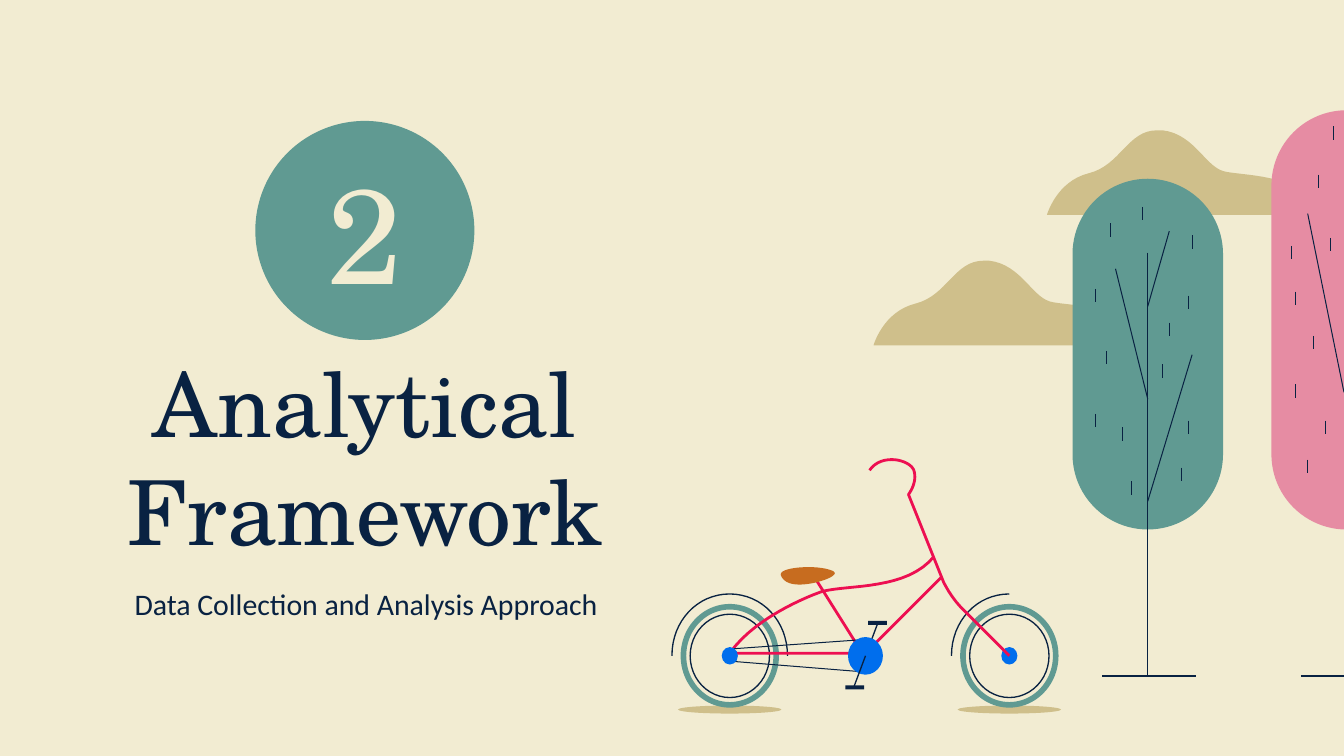
import pptx
import pptx.util
import pptx.dml.color
import pptx.enum.shapes
import pptx.enum.text
import pptx.oxml.ns
import lxml.etree

Inches = pptx.util.Inches
Pt = pptx.util.Pt
SHAPE = pptx.enum.shapes.MSO_SHAPE

COLORS = {
    "cream": "F2ECD2", "sand": "CFBF8B", "teal": "609A92", "pink": "E68CA3",
    "navy": "092242", "red": "ED0F51", "blue": "006EED", "leather": "C76C1F",
}
HEADING_FONT, BODY_FONT = "TeX Gyre Schola", "Calibri"
THIN, MEDIUM, FRAME, TYRE = 0.54, 0.72, 1.5, 3
CURVE_STEPS = 16


def rgb(name):
    return pptx.dml.color.RGBColor.from_string(COLORS[name])


def paint(shape, fill=None, line=None, weight=MEDIUM):
    shape.shadow.inherit = False
    if fill:
        shape.fill.solid()
        shape.fill.fore_color.rgb = rgb(fill)
    else:
        shape.fill.background()
    if line:
        shape.line.color.rgb = rgb(line)
        shape.line.width = Pt(weight)
    else:
        shape.line.fill.background()


def preset(slide, kind, left, top, width, height, **style):
    shape = slide.shapes.add_shape(
        kind, Inches(left), Inches(top), Inches(width), Inches(height))
    paint(shape, **style)
    return shape


def centered_oval(slide, x, y, width, height, **style):
    return preset(slide, SHAPE.OVAL, x - width / 2, y - height / 2, width, height, **style)


def stroke(slide, x1, y1, x2, y2, color="navy", weight=THIN):
    line = slide.shapes.add_connector(
        pptx.enum.shapes.MSO_CONNECTOR.STRAIGHT,
        Inches(x1), Inches(y1), Inches(x2), Inches(y2))
    line.line.color.rgb = rgb(color)
    line.line.width = Pt(weight)
    lxml.etree.SubElement(line._element.spPr, pptx.oxml.ns.qn("a:effectLst"))


def outline(slide, left, top, start, segments, close=False, **style):
    """Draw segments of 2 numbers (line end) or 6 numbers (cubic curve)."""
    points = [start]
    for segment in segments:
        if len(segment) == 2:
            points.append(segment)
            continue
        ax, ay = points[-1]
        bx, by, cx, cy, dx, dy = segment
        for step in range(1, CURVE_STEPS + 1):
            t = step / CURVE_STEPS
            u = 1 - t
            points.append((
                u**3 * ax + 3 * u * u * t * bx + 3 * u * t * t * cx + t**3 * dx,
                u**3 * ay + 3 * u * u * t * by + 3 * u * t * t * cy + t**3 * dy))
    placed = [(Inches(left + x), Inches(top + y)) for x, y in points]
    builder = slide.shapes.build_freeform(*placed[0], scale=1.0)
    builder.add_line_segments(placed[1:], close=close)
    paint(builder.convert_to_shape(), **style)


def write(shape, text, size, font, color, anchor):
    frame = shape.text_frame
    frame.text = text
    frame.word_wrap = True
    frame.auto_size = pptx.enum.text.MSO_AUTO_SIZE.NONE
    frame.vertical_anchor = anchor
    frame.margin_left = frame.margin_right = Inches(0.1)
    frame.margin_top = frame.margin_bottom = Inches(0.1)
    paragraph = frame.paragraphs[0]
    paragraph.alignment = pptx.enum.text.PP_ALIGN.CENTER
    paragraph.space_before = Pt(0)
    paragraph.line_spacing = 1.0
    paragraph.font.size = Pt(size)
    paragraph.font.name = font
    paragraph.font.color.rgb = rgb(color)


def move(shape, left, top, width, height):
    shape.left, shape.top = Inches(left), Inches(top)
    shape.width, shape.height = Inches(width), Inches(height)


def section_heading(slide, left, top, width):
    anchor = pptx.enum.text.MSO_ANCHOR
    title, subtitle = slide.shapes.title, slide.placeholders[1]
    move(title, left, top + 1.79, width, 1.4)
    write(title, "Analytical Framework", 48, HEADING_FONT, "navy", anchor.MIDDLE)
    move(subtitle, left + 0.01, top + 3.36, width, 0.48)
    write(subtitle, "Data Collection and Analysis Approach", 16, BODY_FONT, "navy", anchor.TOP)
    number = preset(slide, SHAPE.OVAL, left + (width - 1.63) / 2, top, 1.63, 1.63, fill="teal")
    write(number, "2", 72, HEADING_FONT, "cream", anchor.MIDDLE)


def cloud(slide, left, top):
    outline(slide, left, top, (0.82, 0), [
        (0.83, 0, 0.85, 0, 0.86, 0),
        (1.11, 0.03, 1.18, 0.29, 1.34, 0.31),
        (1.5, 0.34, 1.94, 0.33, 2, 0.63),
        (0, 0.63),
        (0, 0.63, 0.07, 0.38, 0.31, 0.32),
        (0.55, 0.26, 0.6, 0, 0.82, 0),
    ], close=True, fill="sand")


def tree(slide, left, top, height, color, branches, bark_marks, trunk_top=None):
    width, ground = 1.12, 5.03
    middle = left + width / 2
    crown = preset(slide, SHAPE.ROUNDED_RECTANGLE, left, top, width, height, fill=color)
    crown.adjustments[0] = 0.5
    if trunk_top is not None:
        stroke(slide, middle, top + trunk_top, middle, ground)
    stroke(slide, middle - 0.34, ground, middle + 0.36, ground)
    for x1, y1, x2, y2 in branches:
        stroke(slide, left + x1, top + y1, left + x2, top + y2)
    for x, y in bark_marks:
        stroke(slide, left + x, top + y, left + x, top + y + 0.1)


def bicycle(slide, left, top):
    axle, rear, front = top + 1.48, left + 0.43, left + 2.51

    def part(start, *segments, **style):
        outline(slide, left, top, start, segments, **style)

    def bar(x1, y1, x2, y2, color="red", weight=FRAME):
        stroke(slide, left + x1, top + y1, left + x2, top + y2, color, weight)

    def pedal(x, y):
        preset(slide, SHAPE.RECTANGLE, left + x, top + y, 0.14, 0.03, fill="navy")

    def hub(x):
        centered_oval(slide, x, axle, 0.12, 0.13, fill="blue")

    # Wheels and mudguards
    for x in (rear, front):
        centered_oval(slide, x, axle + 0.4, 0.77, 0.06, fill="sand")
        centered_oval(slide, x, axle, 0.59, 0.62, line="navy")
        centered_oval(slide, x, axle, 0.69, 0.73, line="teal", weight=TYRE)
    part((0, 1.48), (0, 1.22, 0.19, 1.02, 0.43, 1.02),
         (0.67, 1.02, 0.86, 1.22, 0.86, 1.48), line="navy")
    part((2.08, 1.48), (2.08, 1.22, 2.27, 1.02, 2.51, 1.02), line="navy")
    hub(front)

    # Fork with handlebar, then the frame
    bar(1.53, 1.24, 1.44, 1.48, "navy", MEDIUM)
    pedal(1.46, 1.22)
    part((2.51, 1.48), (2.17, 1.14), (2.11, 1.08, 2.06, 1.01, 2.02, 0.93),
         (1.76, 0.28), (1.76, 0.28, 1.83, 0.19, 1.8, 0.1),
         (1.77, 0.02, 1.56, -0.03, 1.47, 0.1), line="red", weight=FRAME)
    bar(1.41, 1.45, 1.07, 0.91)
    bar(2.01, 0.89, 1.44, 1.46)
    part((1.95, 0.74), (1.75, 0.99, 1.32, 0.95, 1.12, 1),
         (1.12, 1, 0.64, 1.16, 0.43, 1.46), (1.39, 1.46), line="red", weight=FRAME)

    # Chain, crank and saddle
    pedal(1.29, 1.7)
    part((1.42, 1.36), (0.43, 1.43), (0.43, 1.52), (1.43, 1.6), line="navy", weight=THIN)
    centered_oval(slide, left + 1.44, axle, 0.26, 0.28, fill="blue")
    hub(rear)
    bar(1.44, 1.48, 1.35, 1.72, "navy", MEDIUM)
    part((1.02, 0.82), (0.91, 0.82, 0.8, 0.84, 0.81, 0.88),
         (0.83, 0.93, 0.88, 0.95, 0.95, 0.95), (1.07, 0.95, 1.23, 0.89, 1.21, 0.86),
         (1.2, 0.84, 1.11, 0.82, 1.02, 0.82), close=True, fill="leather")


def main():
    deck = pptx.Presentation()
    deck.slide_width, deck.slide_height = Inches(10), Inches(10 * 9 / 16)
    slide = deck.slides.add_slide(deck.slide_layouts[0])
    slide.background.fill.solid()
    slide.background.fill.fore_color.rgb = rgb("cream")

    # Landscape
    cloud(slide, 6.5, 1.94)
    cloud(slide, 7.79, 0.97)
    tree(slide, 7.98, 1.33, 2.61, "teal",
         [(0.72, 0.39, 0.56, 0.95), (0.32, 0.67, 0.56, 1.64), (0.89, 1.31, 0.56, 2.4)],
         [(0.72, 1.07), (0.86, 1.8), (0.37, 1.85), (0.44, 2.25), (0.67, 1.38),
          (0.28, 0.33), (0.86, 0.87), (0.81, 2.15), (0.25, 1.28), (0.17, 0.82),
          (0.17, 1.75), (0.52, 0.21), (0.89, 0.42)], trunk_top=0.55)
    tree(slide, 9.46, 0.82, 3.12, "pink", [(0.27, 0.77, 0.54, 2.1)],
         [(0.35, 0.48), (0.44, 0.95), (0.46, 0.12), (0.15, 1.01), (0.18, 1.35),
          (0.31, 1.68), (0.4, 2.31), (0.18, 2.04), (0.27, 2.6)])

    bicycle(slide, 5, 3.4)
    section_heading(slide, 0.61, 0.9, 4.21)
    deck.save("out.pptx")


if __name__ == "__main__":
    main()
